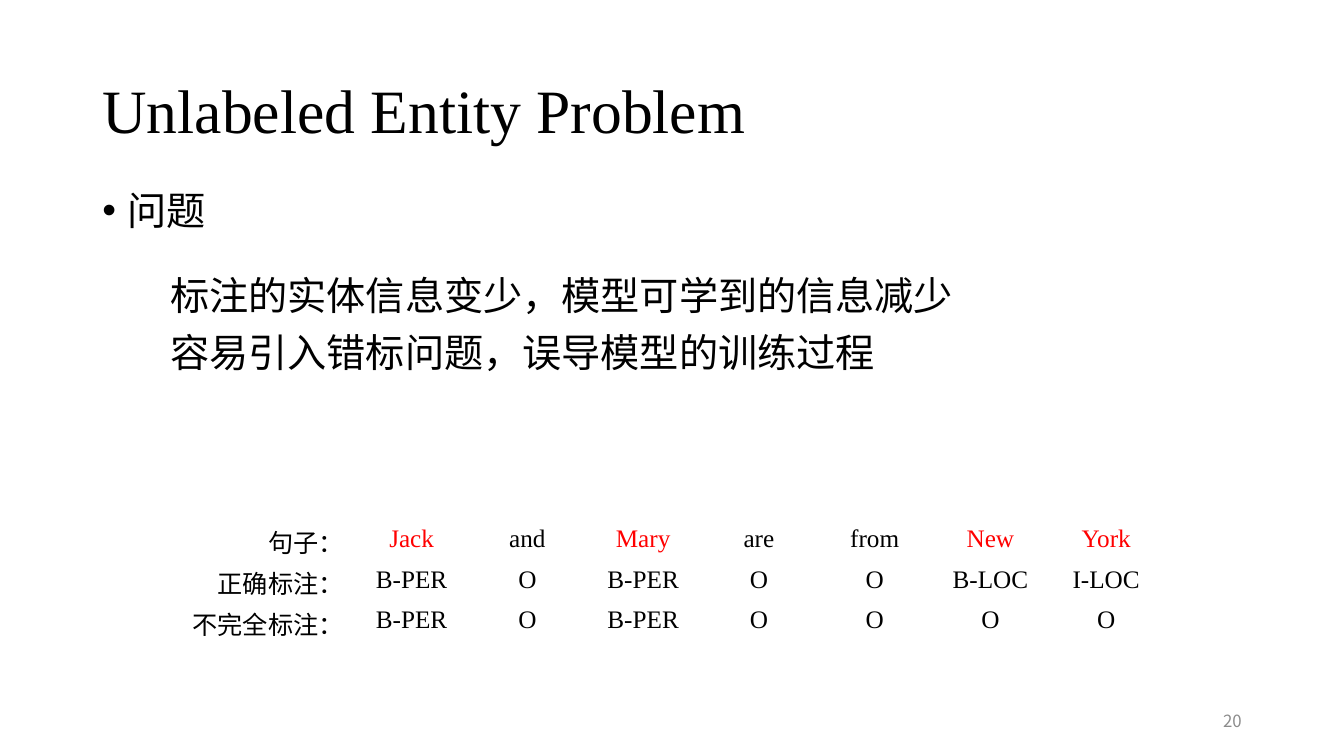
"""Build the slide on the unlabeled entity problem."""
import pptx
import pptx.dml.color
import pptx.enum.text
import pptx.oxml
import pptx.oxml.ns
import pptx.util

Pt = pptx.util.Pt
ALIGN = pptx.enum.text.PP_ALIGN
MIDDLE = pptx.enum.text.MSO_ANCHOR.MIDDLE
SHRINK = pptx.enum.text.MSO_AUTO_SIZE.TEXT_TO_FIT_SHAPE

SERIF = "Times New Roman"
CHINESE = "Noto Sans CJK SC"
BLACK, RED, GREY = "000000", "FF0000", "8C8C8C"

TITLE = "Unlabeled Entity Problem"
HEADING = "问题"
PROBLEMS = ["标注的实体信息变少，模型可学到的信息减少", "容易引入错标问题，误导模型的训练过程"]
PAGE_NUMBER = "20"
ROWS = [
    ["句子：", "Jack", "and", "Mary", "are", "from", "New", "York"],
    ["正确标注：", "B-PER", "O", "B-PER", "O", "O", "B-LOC", "I-LOC"],
    ["不完全标注：", "B-PER", "O", "B-PER", "O", "O", "O", "O"],
]
ENTITIES = {"Jack", "Mary", "New", "York"}

LABEL_WIDTH, WORD_WIDTH, ROW_HEIGHT = 151.2, 82.7, 29.2


def color(value):
    return pptx.dml.color.RGBColor.from_string(value)


def write(frame, *lines, size=28, font=CHINESE, fill=BLACK, align=ALIGN.LEFT,
          spacing=None, before=0, anchor=None):
    frame.word_wrap = True
    if anchor is not None:
        frame.vertical_anchor = anchor
    for index, line in enumerate(lines):
        paragraph = frame.paragraphs[0] if index == 0 else frame.add_paragraph()
        paragraph.alignment = align
        paragraph.space_before = Pt(before)
        if spacing:
            paragraph.line_spacing = spacing
        run = paragraph.add_run()
        run.text = line
        run.font.size = Pt(size)
        run.font.name = font
        run.font.color.rgb = color(fill)
        east_asian = pptx.oxml.parse_xml(
            f'<a:ea {pptx.oxml.ns.nsdecls("a")} typeface="{font}"/>')
        run.font._element.find(pptx.oxml.ns.qn("a:latin")).addnext(east_asian)


def add_text(slide, left, top, width, height, *lines, **text_format):
    box = slide.shapes.add_textbox(Pt(left), Pt(top), Pt(width), Pt(height))
    write(box.text_frame, *lines, **text_format)
    return box.text_frame


def add_bullet(paragraph, indent):
    properties = paragraph._p.get_or_add_pPr()
    properties.set("marL", str(Pt(indent)))
    properties.set("indent", str(-Pt(indent)))
    for tag in ('buFont typeface="Arial"', 'buChar char="•"'):
        properties.append(pptx.oxml.parse_xml(
            f'<a:{tag} {pptx.oxml.ns.nsdecls("a")}/>'))


def add_label_table(slide):
    word_count = len(ROWS[0]) - 1
    table = slide.shapes.add_table(
        len(ROWS), len(ROWS[0]), Pt(101.5), Pt(370.1),
        Pt(LABEL_WIDTH + word_count * WORD_WIDTH), Pt(len(ROWS) * ROW_HEIGHT)).table
    table.first_row = table.horz_banding = False
    for index, column in enumerate(table.columns):
        column.width = Pt(WORD_WIDTH if index else LABEL_WIDTH)
    for row, texts in zip(table.rows, ROWS):
        row.height = Pt(ROW_HEIGHT)
        for index, (cell, text) in enumerate(zip(row.cells, texts)):
            cell.fill.background()
            cell.vertical_anchor = MIDDLE
            write(cell.text_frame, text, size=18,
                  font=SERIF if index else CHINESE,
                  fill=RED if text in ENTITIES else BLACK,
                  align=ALIGN.CENTER if index else ALIGN.RIGHT)


def main():
    presentation = pptx.Presentation()
    presentation.slide_width, presentation.slide_height = Pt(960), Pt(540)
    slide = presentation.slides.add_slide(presentation.slide_layouts[5])

    title = slide.shapes.title
    title.left, title.top, title.width, title.height = Pt(66), Pt(28.8), Pt(828), Pt(104.4)
    write(title.text_frame, TITLE, size=44, font=SERIF, spacing=0.9, anchor=MIDDLE)

    add_text(slide, 678, 500.5, 216, 28.8, PAGE_NUMBER, size=12, fill=GREY,
             align=ALIGN.RIGHT, anchor=MIDDLE)
    add_label_table(slide)

    heading = add_text(slide, 66, 133.2, 821.5, 51.1, HEADING, spacing=0.9, before=10)
    add_bullet(heading.paragraphs[0], 18)
    problems = add_text(slide, 114.5, 194.4, 812.2, 114.5, *PROBLEMS, spacing=0.9, before=10)
    heading.auto_size = problems.auto_size = SHRINK

    presentation.save("out.pptx")


if __name__ == "__main__":
    main()
